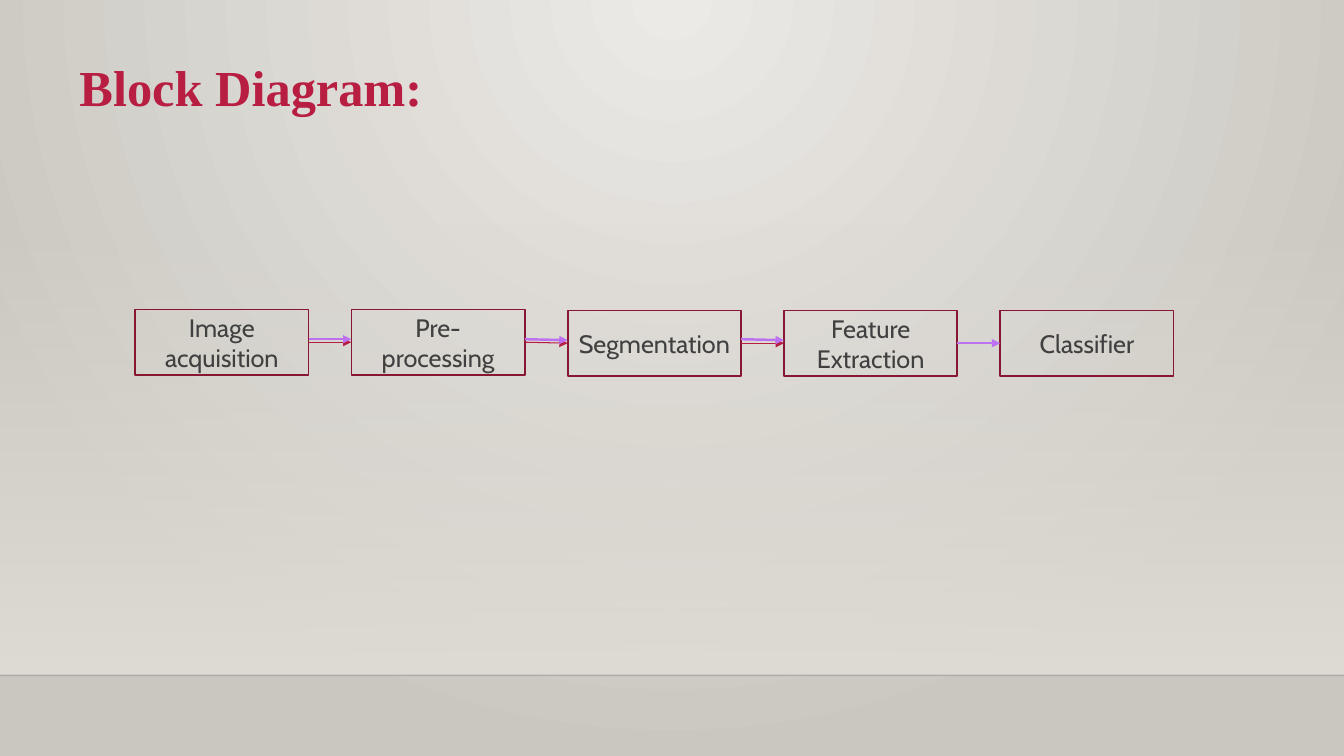
from lxml import etree
from pptx import Presentation, util as u
from pptx.dml.color import RGBColor
from pptx.enum import shapes, text
from pptx.oxml.ns import qn

CRIMSON = RGBColor(0xB7, 0x1E, 0x42)
MAROON = RGBColor(0x87, 0x16, 0x31)
VIOLET = RGBColor(0xBC, 0x72, 0xF0)
CHARCOAL = RGBColor(0x40, 0x40, 0x40)
NEAR_BLACK = RGBColor(0x00, 0x00, 0x01)
PALE = RGBColor(0xEC, 0xEA, 0xE7)
STONE = RGBColor(0xCA, 0xC7, 0xC1)
SAND = RGBColor(0xDF, 0xDB, 0xD5)

deck = Presentation()
deck.slide_width, deck.slide_height = u.Inches(13.33), u.Inches(7.5)
slide = deck.slides.add_slide(deck.slide_layouts[6])


def add_line(start, end, color, width, arrow=True):
    """Straight line between two points in inches, without a shadow."""
    line = slide.shapes.add_connector(
        shapes.MSO_CONNECTOR.STRAIGHT, *[u.Inches(v) for v in (*start, *end)])
    line.line.color.rgb = color
    line.line.width = u.Pt(width)
    props = line.element.spPr
    if arrow:
        etree.SubElement(props.find(qn("a:ln")), qn("a:tailEnd"), type="triangle")
    etree.SubElement(props, qn("a:effectLst"))
    return line


def set_alpha(element, percent):
    """Set the opacity of the first colour inside an element."""
    color = next(element.iter(qn("a:srgbClr")))
    etree.SubElement(color, qn("a:alpha"), val=str(percent * 1000))


# Background: circular glow from the top centre
glow = slide.background.fill
glow.gradient()
for stop, color in zip(glow.gradient_stops, (PALE, STONE)):
    stop.color.rgb = color
glow_xml = next(slide.element.iter(qn("a:gradFill")))
linear = glow_xml.find(qn("a:lin"))
circle = etree.Element(qn("a:path"), path="circle")
etree.SubElement(circle, qn("a:fillToRect"), l="43000", t="0", r="43000", b="100000")
glow_xml.replace(linear, circle)

# Wall fading in downwards, and the floor edge
FLOOR = 6.7
WALL_TOP = 2.21
wall = slide.shapes.add_shape(
    shapes.MSO_SHAPE.RECTANGLE, 0, u.Inches(WALL_TOP),
    deck.slide_width, u.Inches(FLOOR - WALL_TOP))
wall.shadow.inherit = False
wall.line.fill.background()
wall.fill.gradient()
wall.fill.gradient_angle = 270
for stop in wall.fill.gradient_stops:
    stop.color.rgb = SAND
set_alpha(wall.element.spPr, 0)
floor_edge = add_line((0, FLOOR), (13.33, FLOOR), NEAR_BLACK, 1, arrow=False)
set_alpha(floor_edge.element.spPr, 20)

# Title
title = slide.shapes.add_textbox(
    u.Inches(0.19), u.Inches(0.21), u.Inches(6.67), u.Inches(0.9)).text_frame
title.word_wrap = True
title.auto_size = text.MSO_AUTO_SIZE.SHAPE_TO_FIT_TEXT
heading = title.paragraphs[0]
heading.level = 1
heading.line_spacing = 1.5
heading_props = heading._p.get_or_add_pPr()
heading_props.set("marL", str(u.Inches(0.5)))
heading_props.set("indent", "0")
run = heading.add_run()
run.text = "Block Diagram:"
run.font.name, run.font.size, run.font.bold = "Times New Roman", u.Pt(36), True
run.font.color.rgb = CRIMSON

# Processing stages: equal columns, the last three a touch lower
LEFT, PITCH, WIDTH, HEIGHT = 1.34, 2.145, 1.72, 0.65
STAGES = [("Image acquisition", 3.07), ("Pre-processing", 3.07),
          ("Segmentation", 3.08), ("Feature Extraction", 3.08),
          ("Classifier", 3.08)]
stages = []
for column, (label, top) in enumerate(STAGES):
    stage = slide.shapes.add_shape(
        shapes.MSO_SHAPE.RECTANGLE, u.Inches(LEFT + column * PITCH),
        u.Inches(top), u.Inches(WIDTH), u.Inches(HEIGHT))
    stage.shadow.inherit = False
    stage.fill.background()
    stage.line.color.rgb = MAROON
    stage.line.width = u.Pt(1.25)
    stage.text_frame.word_wrap = True
    stage.text_frame.vertical_anchor = text.MSO_ANCHOR.MIDDLE
    caption = stage.text_frame.paragraphs[0]
    caption.alignment = text.PP_ALIGN.CENTER
    run = caption.add_run()
    run.text = label
    run.font.name, run.font.size = "Cabin", u.Pt(18)
    run.font.color.rgb = CHARCOAL
    stages.append(stage)

# Flow arrows joining neighbouring stages; the last one is violet
last = len(stages) - 2
for i, (source, target) in enumerate(zip(stages, stages[1:])):
    color, width = (VIOLET, 1.75) if i == last else (CRIMSON, 0.75)
    flow = add_line((0, 0), (1, 1), color, width)
    flow.begin_connect(source, 3)
    flow.end_connect(target, 1)

# Violet arrows just above the crimson ones
RISE = 0.03
for i in range(last):
    start_x = LEFT + i * PITCH + WIDTH
    start_y, end_y = [top + HEIGHT / 2 - RISE for _, top in STAGES[i:i + 2]]
    # The arrow into a lower stage slopes; between the lower two it still falls slightly
    if i == last - 1:
        start_y -= 0.01
    add_line((start_x, start_y), (LEFT + (i + 1) * PITCH, end_y), VIOLET, 1.75)

deck.save("out.pptx")
